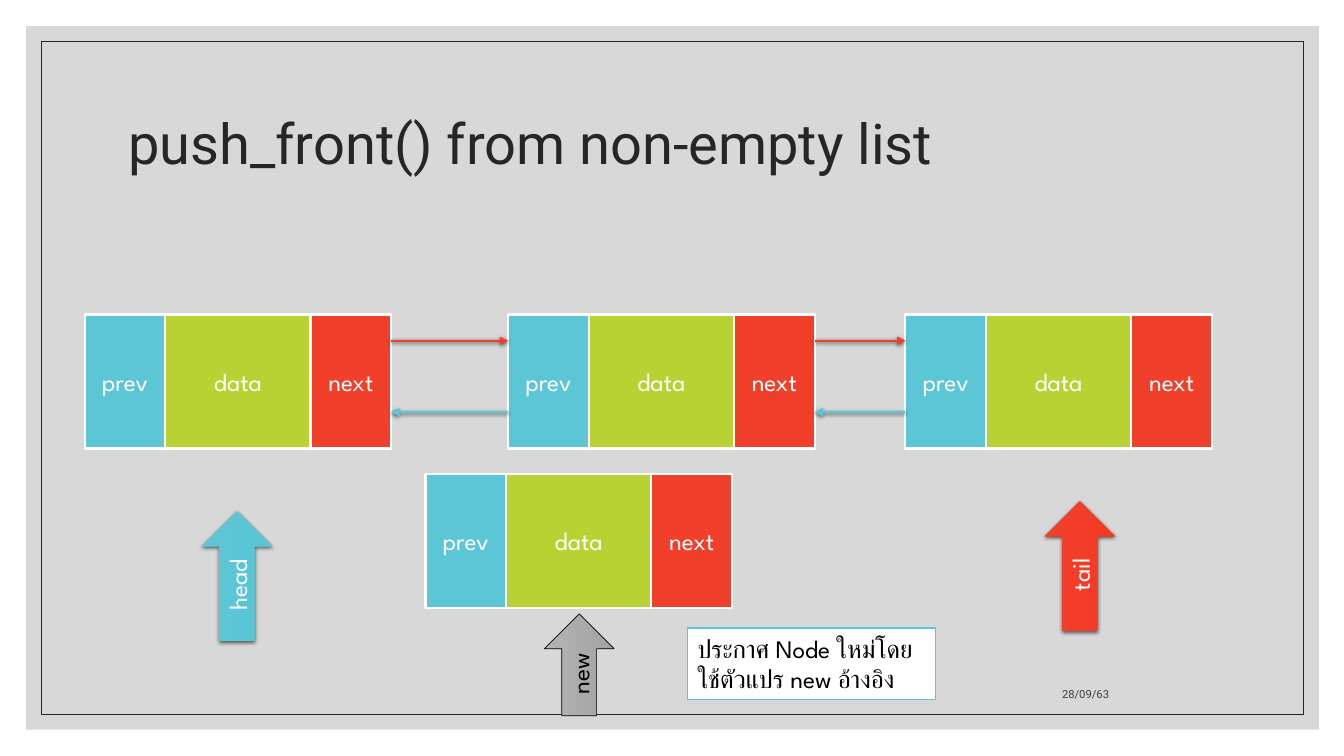
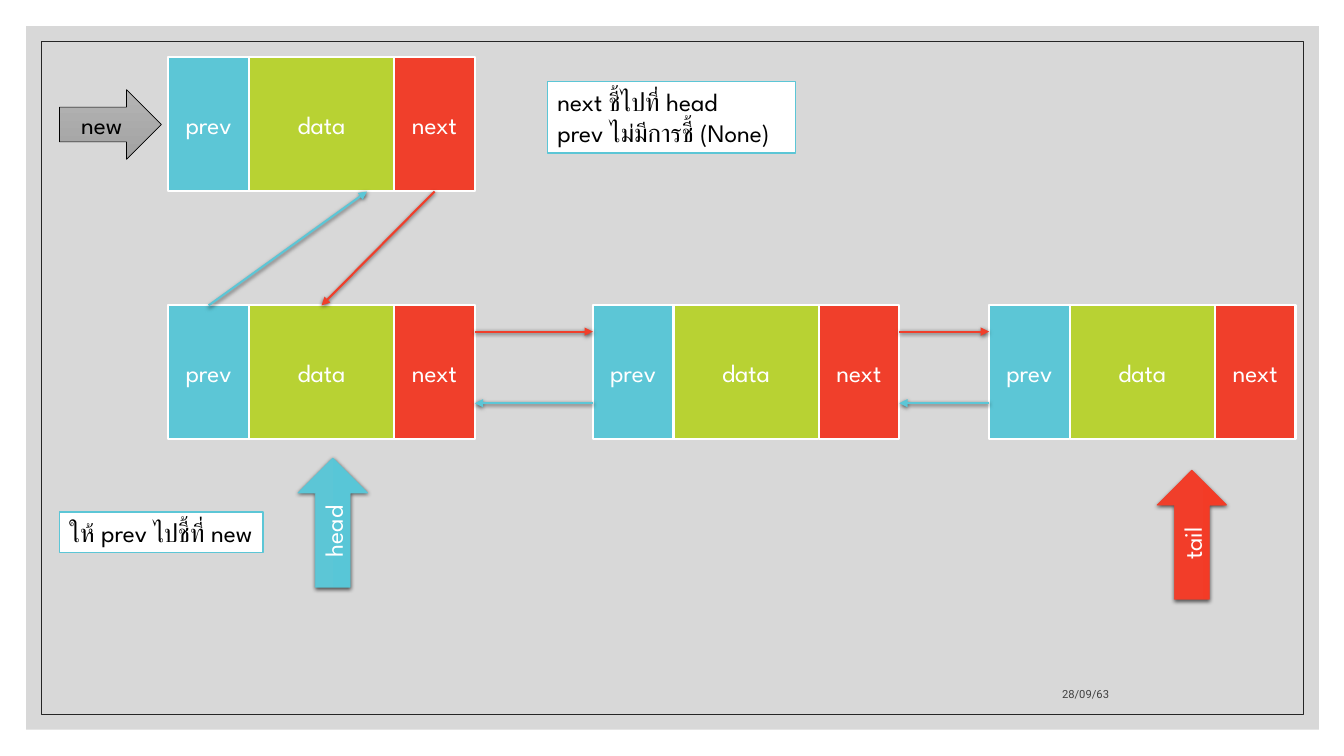
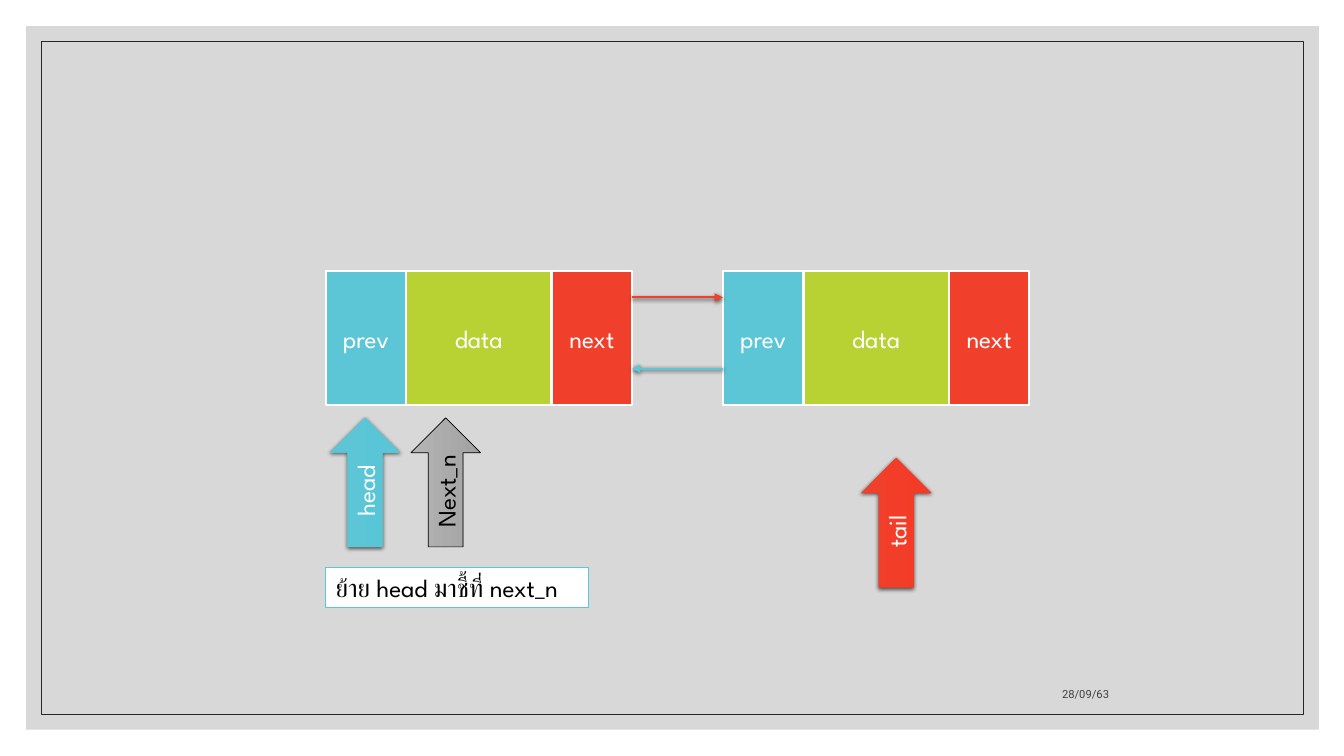
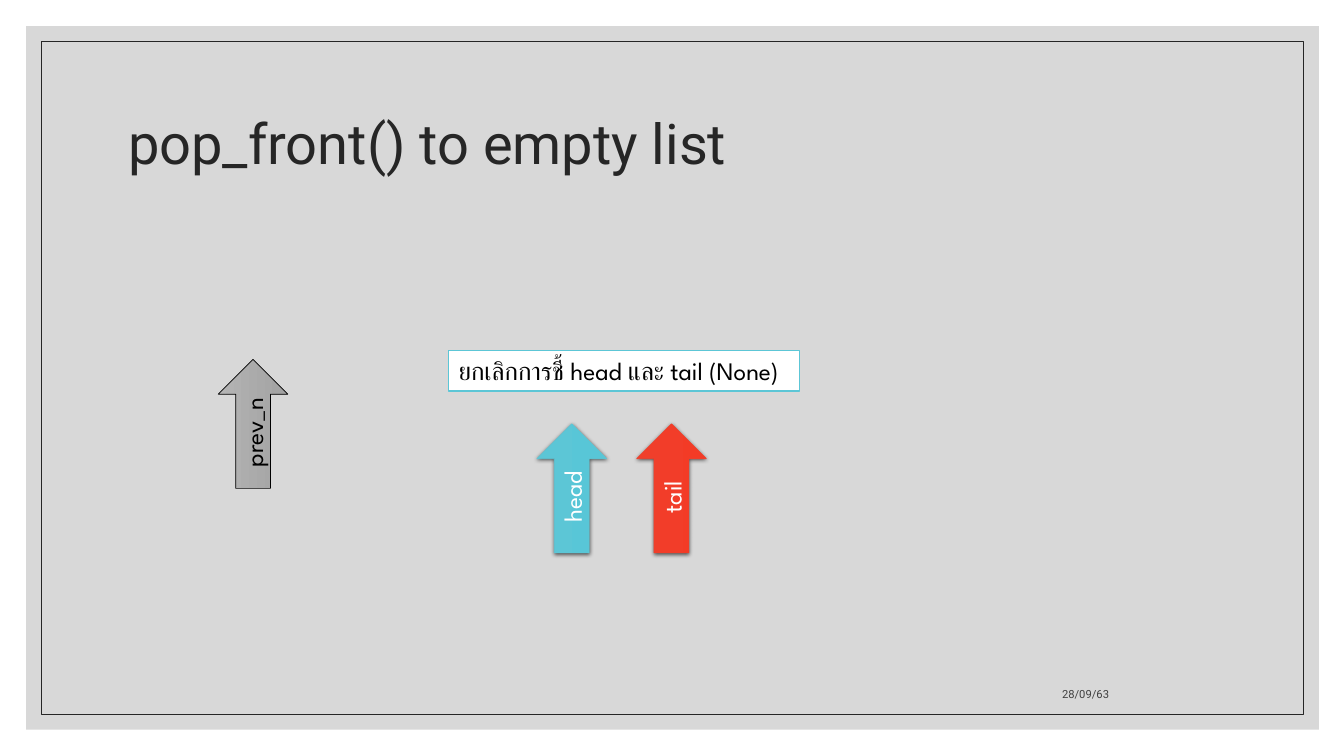
from pptx import Presentation
from pptx.dml.color import RGBColor
from pptx.enum.shapes import MSO_CONNECTOR as Link, MSO_SHAPE as Form
from pptx.enum.text import MSO_ANCHOR as Anchor, MSO_AUTO_SIZE as Fit, PP_ALIGN as Align
from pptx.oxml.ns import qn
from pptx.util import Inches, Pt
from lxml.etree import SubElement

WHITE, BLACK, INK = "FFFFFF", "000000", "262626"
BLUE, GREEN, RED = "5CC6D6", "B8D233", "F03F2B"
SANS, ROUND = "Roboto", "League Spartan"
DATE = "28/09/63"
PARTS = [("prev", 0.8, BLUE), ("data", 1.44, GREEN), ("next", 0.8, RED)]
WIDE, HIGH = sum(part[1] for part in PARTS), 1.33
NEXT_Y, PREV_Y = 0.26, 0.97
HEAD = (BLUE, "58C6D7", BLUE, WHITE, True)
TAIL = (RED, "F33B26", RED, WHITE, True)
TEMP = ("B4B4B4", "A2A2A2", BLACK, BLACK, False)

SLIDES = [
    {
        "title": "push_front() from non-empty list",
        "rows": [(3.12, [0.84, 5.04, 8.98]), (4.7, [4.22])],
        "arrows": [("head", HEAD, 1.71, 5.37, 1.28, 270),
                   ("tail", TAIL, 10.07, 5.27, 1.28, 270),
                   ("new", TEMP, 5.24, 6.25, 1.01, 270)],
        "notes": [(6.82, 6.23, 2.46, 0.71, "ประกาศ Node ใหม่โดยใช้ตัวแปร new อ้างอิง")],
    },
    {
        "rows": [(3.03, [1.67, 5.88, 9.81]), (0.57, [1.67])],
        "ties": [(BLUE, (2.07, 3.03), (3.64, 1.9), (0, "prev", 0), None),
                 (RED, (4.31, 1.9), (3.19, 3.03), (3, "next", 2), (0, "data", 0))],
        "arrows": [("head", HEAD, 2.66, 4.84, 1.28, 270),
                   ("tail", TAIL, 11.18, 4.96, 1.28, 270),
                   ("new", TEMP, 0.59, 0.89, 1.01, 0)],
        "notes": [(5.43, 0.81, 2.46, 0.71, "next ชี้ไปที่ head\nprev ไม่มีการชี้ (None)"),
                  (0.59, 5.08, 2.02, 0.4, "ให้ prev ไปชี้ที่ new")],
    },
    {
        "rows": [(2.69, [3.23, 7.17])],
        "arrows": [("head", HEAD, 2.98, 4.44, 1.28, 270),
                   ("tail", TAIL, 8.25, 4.84, 1.28, 270),
                   ("Next_n", TEMP, 3.78, 4.44, 1.28, 270)],
        "notes": [(3.23, 5.63, 2.61, 0.4, "ย้าย head มาชี้ที่ next_n")],
    },
    {
        "title": "pop_front() to empty list",
        "arrows": [("head", HEAD, 5.03, 4.5, 1.28, 270),
                   ("tail", TAIL, 6.02, 4.5, 1.28, 270),
                   ("prev_n", TEMP, 1.87, 3.86, 1.28, 270)],
        "notes": [(4.45, 3.48, 3.48, 0.4, "ยกเลิกการชี้ head และ tail (None)")],
    },
]


def rgb(code):
    return RGBColor.from_string(code)


def box(*sides):
    return [Inches(side) for side in sides]


def write(shape, text, size, font, color, align, anchor):
    frame = shape.text_frame
    frame.text = text
    frame.word_wrap = True
    frame.vertical_anchor = anchor
    for para in frame.paragraphs:
        para.alignment = align
        for run in para.runs:
            run.font.size, run.font.name = Pt(size), font
            run.font.color.rgb = rgb(color)


def edge(shape, color, width):
    shape.line.color.rgb = rgb(color)
    shape.line.width = Pt(width)


def paint(shape, color):
    shape.fill.solid()
    shape.fill.fore_color.rgb = rgb(color)


def shade(shape, drop):
    effect = SubElement(shape._element.spPr, qn("a:effectLst"))
    if drop:
        shadow = SubElement(effect, qn("a:outerShdw"), blurRad="38100",
                            dist="12700", dir="5400000", rotWithShape="0")
        tone = SubElement(shadow, qn("a:srgbClr"), val=BLACK)
        SubElement(tone, qn("a:alpha"), val="63000")


def add_bands(slide, master):
    band = slide.shapes.add_shape(Form.RECTANGLE, *box(0.26, 0.26, 12.82, 6.98))
    paint(band, "BFBFBF")
    tone = band._element.spPr.find(".//" + qn("a:srgbClr"))
    SubElement(tone, qn("a:alpha"), val="60000")
    band.line.fill.background()
    frame = slide.shapes.add_shape(Form.RECTANGLE, *box(0.41, 0.41, 12.52, 6.68))
    frame.fill.background()
    edge(frame, INK, 0.5)
    for spot, shape in enumerate([band, frame], 2):
        shape.shadow.inherit = False
        master.shapes._spTree.insert(spot, shape._element)


def add_title(slide, text):
    title = slide.shapes.title
    title.left, title.top, title.width, title.height = box(1.17, 0.7, 11, 1.5)
    write(title, text, 40, SANS, INK, Align.LEFT, Anchor.MIDDLE)
    title.text_frame.paragraphs[0].line_spacing = 0.9


def add_date(slide):
    date = slide.shapes.add_textbox(*box(7.94, 6.6, 3.16, 0.4))
    write(date, DATE, 8, SANS, "404040", Align.RIGHT, Anchor.BOTTOM)


def add_node(slide, x, y):
    group, cells = slide.shapes.add_group_shape(), {}
    for name, width, color in PARTS:
        cell = group.shapes.add_shape(Form.RECTANGLE, *box(x, y, width, HIGH))
        paint(cell, color)
        edge(cell, WHITE, 1.5)
        shade(cell, False)
        write(cell, name, 18, ROUND, WHITE, Align.CENTER, Anchor.MIDDLE)
        cells[name] = cell
        x += width
    return cells


def add_link(slide, color, start, end):
    link = slide.shapes.add_connector(Link.STRAIGHT, *box(*start, *end))
    edge(link, color, 1.5)
    SubElement(link._element.spPr.find(qn("a:ln")), qn("a:tailEnd"), type="triangle")
    shade(link, True)
    return link


def add_row(slide, y, lefts):
    nodes = [add_node(slide, x, y) for x in lefts]
    for x, far in zip(lefts, lefts[1:]):
        near = x + WIDE
        add_link(slide, RED, (near, y + NEXT_Y), (far, y + NEXT_Y))
        add_link(slide, BLUE, (far, y + PREV_Y), (near, y + PREV_Y))
    return nodes


def add_tie(slide, nodes, color, start, end, source, target):
    link = add_link(slide, color, start, end)
    for join, place in [(link.begin_connect, source), (link.end_connect, target)]:
        if place:
            node, name, site = place
            join(nodes[node][name], site)


def add_arrow(slide, text, look, x, y, width, turn):
    first, last, rim, ink, drop = look
    arrow = slide.shapes.add_shape(Form.RIGHT_ARROW, *box(x, y, width, 0.69))
    arrow.rotation = turn
    arrow.fill.gradient()
    arrow.fill.gradient_angle = 270
    for stop, color in zip(arrow.fill.gradient_stops, [first, last]):
        stop.color.rgb = rgb(color)
    edge(arrow, rim, 0.5)
    shade(arrow, drop)
    write(arrow, text, 18, ROUND, ink, Align.CENTER, Anchor.MIDDLE)


def add_note(slide, x, y, width, height, text):
    note = slide.shapes.add_textbox(*box(x, y, width, height))
    paint(note, WHITE)
    edge(note, BLUE, 1)
    write(note, text, 18, ROUND, BLACK, Align.LEFT, Anchor.TOP)
    note.text_frame.auto_size = Fit.SHAPE_TO_FIT_TEXT


def main():
    """Build the linked list slides and save them."""
    deck = Presentation()
    deck.slide_width, deck.slide_height = box(13.33, 7.5)
    for index, data in enumerate(SLIDES):
        layout = deck.slide_layouts[5 if "title" in data else 6]
        slide = deck.slides.add_slide(layout)
        if index == 0:
            add_bands(slide, deck.slide_master)
        if "title" in data:
            add_title(slide, data["title"])
        add_date(slide)
        nodes = []
        for row in data.get("rows", []):
            nodes += add_row(slide, *row)
        for tie in data.get("ties", []):
            add_tie(slide, nodes, *tie)
        for arrow in data["arrows"]:
            add_arrow(slide, *arrow)
        for note in data["notes"]:
            add_note(slide, *note)
    deck.save("out.pptx")


if __name__ == "__main__":
    main()
